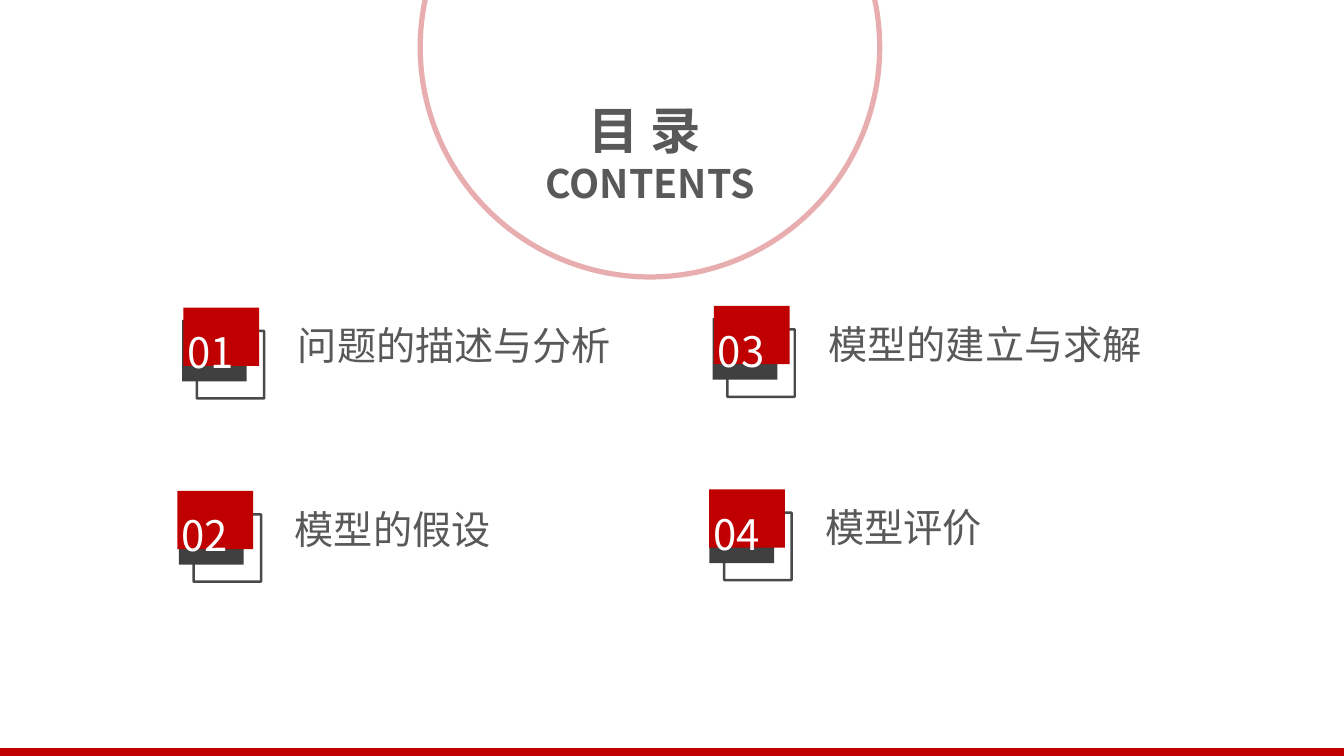
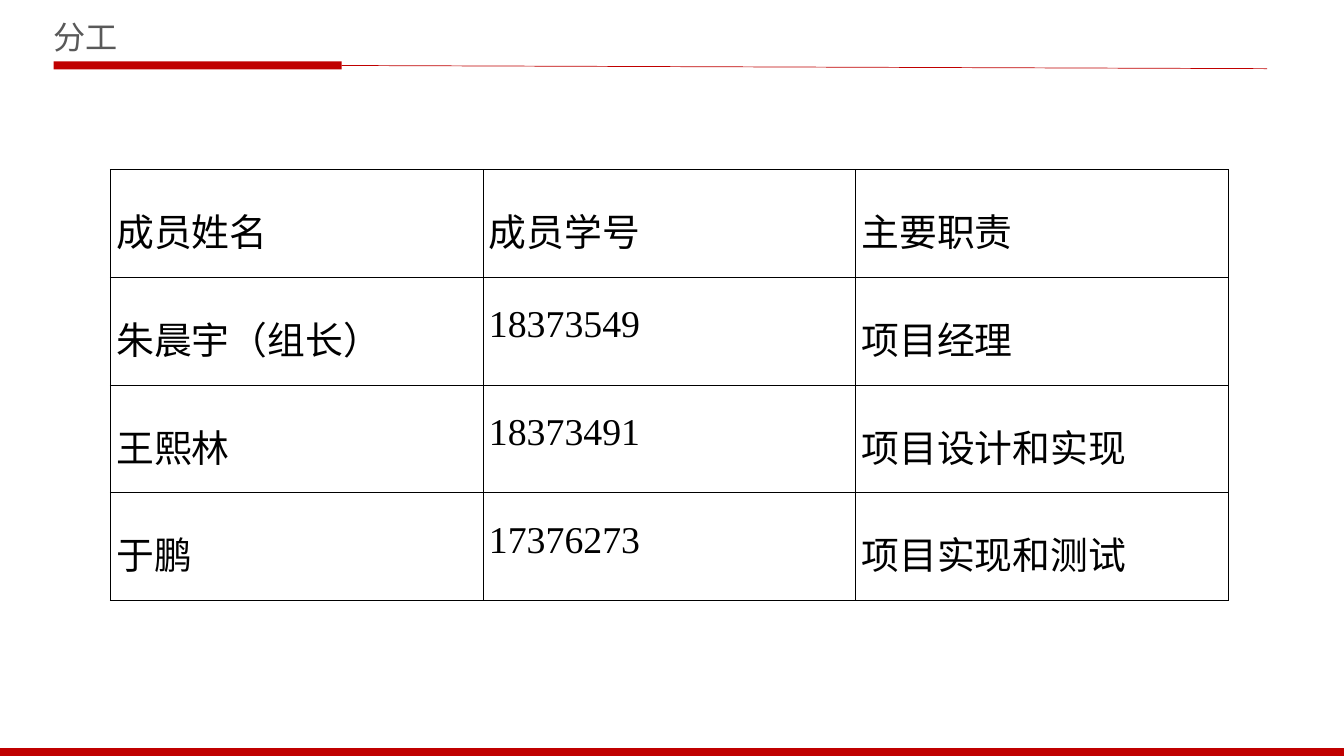
from dataclasses import dataclass

from lxml import etree
from pptx import Presentation
from pptx.dml.color import RGBColor
from pptx.enum.shapes import MSO_CONNECTOR, MSO_SHAPE
from pptx.enum.text import MSO_ANCHOR, PP_ALIGN
from pptx.oxml.ns import qn
from pptx.util import Cm, Pt

RECT, OVAL = MSO_SHAPE.RECTANGLE, MSO_SHAPE.OVAL
STRAIGHT = MSO_CONNECTOR.STRAIGHT
TOP, MIDDLE = MSO_ANCHOR.TOP, MSO_ANCHOR.MIDDLE
LEFT, CENTER, JUSTIFY = PP_ALIGN.LEFT, PP_ALIGN.CENTER, PP_ALIGN.JUSTIFY
RIGHT_SIDE = 3


# Theme
@dataclass(frozen=True)
class Theme:
    red: str = "C00000"
    pink: str = "DB7D7E"
    dark: str = "404040"
    grey: str = "595959"
    white: str = "FFFFFF"
    black: str = "000000"
    sans: str = "Noto Sans CJK SC"
    serif: str = "Times New Roman"
    heading: int = 36
    number: int = 30
    entry: int = 28
    cell: int = 27
    title: int = 23


THEME = Theme()
PAGE_WIDTH, PAGE_HEIGHT = 33.87, 19.05
BAND_HEIGHT = 0.2

# Content
HEADING = [("目 录 ", THEME.heading), ("CONTENTS", THEME.entry)]
# number, title, frame left, frame top, badge left (cm)
ENTRIES = [
    ("01", "问题的描述与分析", 4.96, 8.34, 4.62),
    ("02", "模型的假设", 4.88, 12.96, 4.47),
    ("03", "模型的建立与求解", 18.33, 8.3, 17.99),
    ("04", "模型评价", 18.25, 12.92, 17.87),
]
ROLES_TITLE = "分工"
ROLES = [
    ("成员姓名", "成员学号", "主要职责"),
    ("朱晨宇（组长）", "18373549", "项目经理"),
    ("王熙林", "18373491", "项目设计和实现"),
    ("于鹏", "17376273", "项目实现和测试"),
]


# Helpers
def rgb(color):
    return RGBColor.from_string(color)


def add_panel(page, kind, at, fill=None, line=None, width=0, opacity=100):
    shape = page.shapes.add_shape(kind, *map(Cm, at))
    shape.shadow.inherit = False
    if fill:
        shape.fill.solid()
        shape.fill.fore_color.rgb = rgb(fill)
    else:
        shape.fill.background()
    if line:
        shape.line.color.rgb = rgb(line)
        shape.line.width = Pt(width)
        color = shape.line._ln.find(".//" + qn("a:srgbClr"))
        etree.SubElement(color, qn("a:alpha"), val=str(opacity * 1000))
    else:
        shape.line.fill.background()
    return shape


def write(frame, lines, color, font=THEME.sans, bold=False, align=LEFT,
          spacing=None):
    for index, (text, size) in enumerate(lines):
        para = frame.add_paragraph() if index else frame.paragraphs[0]
        para.alignment = align
        if spacing:
            para.line_spacing = spacing
        span = para.add_run()
        span.text = text
        span.font.size = Pt(size)
        span.font.bold = bold
        span.font.color.rgb = rgb(color)
        span.font.name = font
        etree.SubElement(span.font._element, qn("a:ea"), typeface=font)


def set_insets(owner, inset):
    owner.margin_left = owner.margin_right = Cm(inset)
    owner.margin_top = owner.margin_bottom = Cm(inset)


def add_text(page, at, lines, **style):
    frame = page.shapes.add_textbox(*map(Cm, at)).text_frame
    frame.word_wrap = True
    frame.vertical_anchor = MIDDLE
    set_insets(frame, 0.13)
    write(frame, lines, THEME.grey, **style)


def add_page(deck):
    page = deck.slides.add_slide(deck.slide_layouts[6])
    add_panel(page, RECT, (0, PAGE_HEIGHT - BAND_HEIGHT, PAGE_WIDTH, BAND_HEIGHT),
              fill=THEME.red)
    return page


def set_borders(cell, color, width):
    properties = cell._tc.get_or_add_tcPr()
    for index, side in enumerate(("lnL", "lnR", "lnT", "lnB")):
        line = etree.Element(qn("a:" + side), w=str(Pt(width)))
        fill = etree.SubElement(line, qn("a:solidFill"))
        etree.SubElement(fill, qn("a:srgbClr"), val=color)
        properties.insert(index, line)


# Contents page
def add_entry(page, number, title, left, top, badge_left):
    add_panel(page, RECT, (left, top, 1.7, 1.7), line=THEME.dark, width=1.75,
              opacity=94)
    add_panel(page, RECT, (left - 0.37, top - 0.28, 1.63, 1.55), fill=THEME.dark)
    badge = add_panel(page, RECT, (badge_left, top - 0.59, 1.91, 1.47),
                      fill=THEME.red)
    frame = badge.text_frame
    frame.word_wrap = True
    frame.vertical_anchor = TOP
    set_insets(frame, 0.1)
    write(frame, [(number, THEME.number)], THEME.white, spacing=1.3)
    add_text(page, (left + 2.42, top - 0.48, 12, 1.68), [(title, THEME.entry)])


def build_contents(deck):
    page = add_page(deck)
    add_panel(page, OVAL, (10.59, -4.6, 11.58, 11.58), line=THEME.pink,
              width=3.75, opacity=61)
    add_text(page, (11.66, 2.24, 9.45, 3.23), HEADING, bold=True, align=CENTER)
    for entry in ENTRIES:
        add_entry(page, *entry)


# Roles page
def add_title(page, title):
    bar = add_panel(page, RECT, (1.35, 1.55, 7.26, 0.2), fill=THEME.red)
    rule = page.shapes.add_connector(STRAIGHT, Cm(8.61), Cm(1.65), Cm(31.93), Cm(1.73))
    rule.begin_connect(bar, RIGHT_SIDE)
    rule.line.color.rgb = rgb(THEME.red)
    rule.line.width = Pt(0.5)
    etree.SubElement(rule._element.spPr, qn("a:effectLst"))
    add_text(page, (1.22, 0.25, 7.47, 1.37), [(title, THEME.title)], align=JUSTIFY)


def build_roles(deck):
    page = add_page(deck)
    add_title(page, ROLES_TITLE)
    at = (2.78, 4.27, 28.17, 10.86)
    table = page.shapes.add_table(len(ROLES), len(ROLES[0]), *map(Cm, at)).table
    table.first_row = table.horz_banding = False
    for row, texts in enumerate(ROLES):
        for column, text in enumerate(texts):
            cell = table.cell(row, column)
            cell.fill.background()
            set_borders(cell, THEME.black, 0.5)
            set_insets(cell, 0.15)
            font = THEME.serif if text.isdigit() else THEME.sans
            write(cell.text_frame, [(text, THEME.cell)], THEME.black, font=font,
                  align=JUSTIFY, spacing=1.5)


def main():
    deck = Presentation()
    deck.slide_width, deck.slide_height = Cm(PAGE_WIDTH), Cm(PAGE_HEIGHT)
    build_contents(deck)
    build_roles(deck)
    deck.save("out.pptx")


if __name__ == "__main__":
    main()
